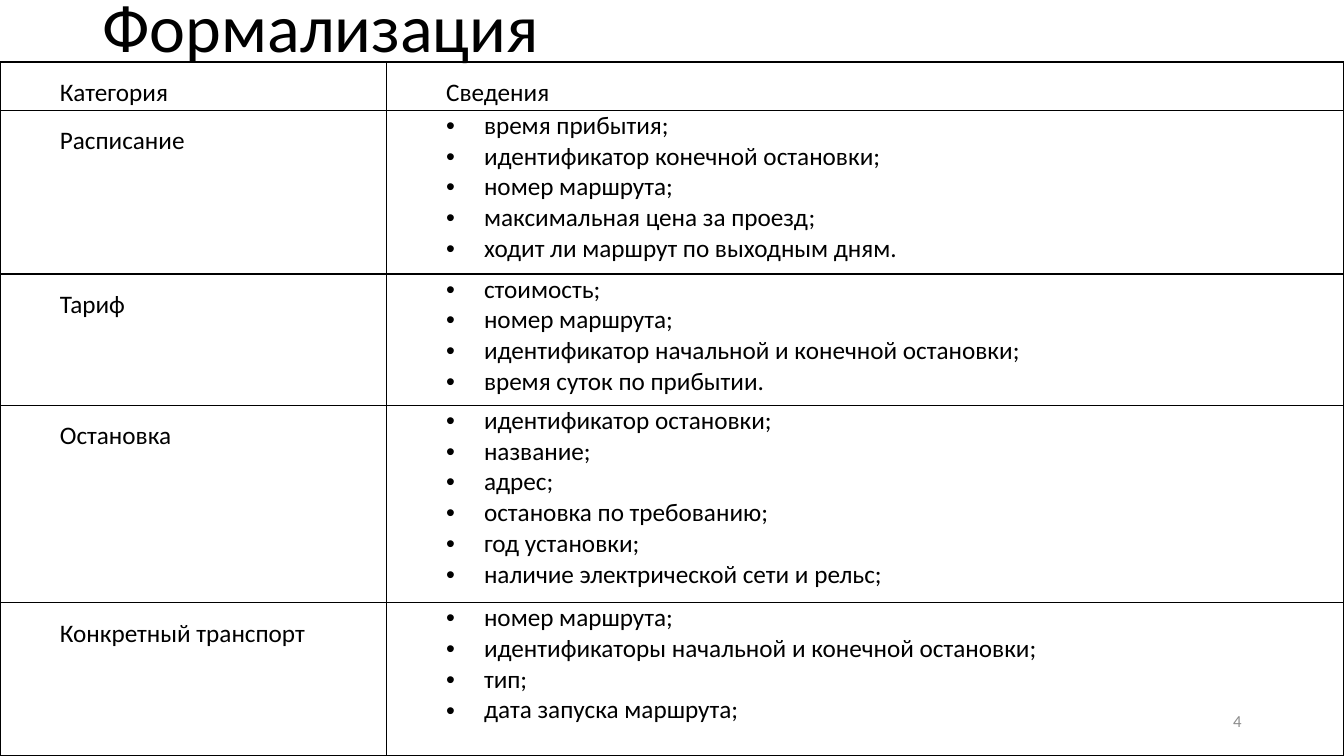
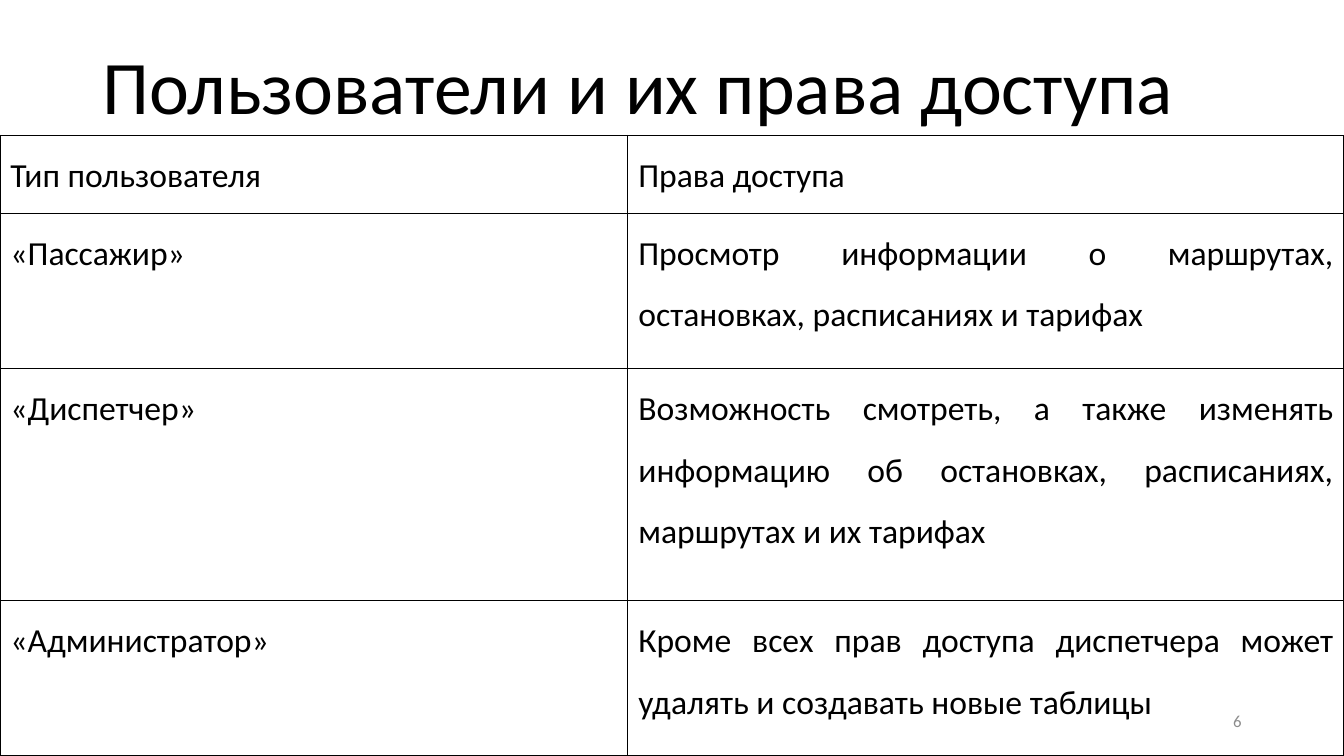
from dataclasses import dataclass

from lxml.etree import SubElement
from pptx import Presentation
from pptx.dml.color import RGBColor as RGB
from pptx.enum.text import MSO_ANCHOR as ANCHOR, MSO_AUTO_SIZE as FIT, PP_ALIGN as ALIGN
from pptx.oxml.ns import qn
from pptx.util import Emu, Pt

SCALE = 9525
WIDTH, HEIGHT = 1280, 720


def px(n):
    return Emu(n * SCALE)


@dataclass(frozen=True)
class Theme:
    """Colours, type sizes and spacing shared by the slides."""
    font: str = "Calibri"
    ink: str = "000000"
    muted: str = "8C8C8C"
    number_size: float = 12
    title_spacing: float = 0.9
    cell_spacing: float = 1.5
    border: float = 1
    hanging: int = 36


class Deck:
    """Holds the theme and the current slide and draws each kind of element."""

    def __init__(self, theme):
        self.theme = theme
        self.prs = Presentation()
        self.prs.slide_width, self.prs.slide_height = px(WIDTH), px(HEIGHT)
        self.s = None

    def style(self, p, size, color, align):
        p.alignment = align
        for r in p.runs:
            r.font.name = self.theme.font
            r.font.size = Pt(size)
            r.font.color.rgb = RGB.from_string(color)

    def slide(self, title, y, h, size):
        self.s = self.prs.slides.add_slide(self.prs.slide_layouts[5])
        sp = self.s.shapes.title
        sp.left, sp.top, sp.width, sp.height = map(px, (88, y, 1104, h))
        tf = sp.text_frame
        tf.text = title
        tf.word_wrap = True
        tf.auto_size = FIT.NONE
        tf.vertical_anchor = ANCHOR.BOTTOM
        p = tf.paragraphs[0]
        p.line_spacing = self.theme.title_spacing
        self.style(p, size, self.theme.ink, ALIGN.LEFT)

    def number(self, n):
        tf = self.s.shapes.add_textbox(*map(px, (904, 667, 288, 38))).text_frame
        tf.text = str(n)
        tf.word_wrap = True
        tf.vertical_anchor = ANCHOR.MIDDLE
        self.style(tf.paragraphs[0], self.theme.number_size, self.theme.muted, ALIGN.RIGHT)

    def borders(self, cell):
        tcPr = cell._tc.get_or_add_tcPr()
        for side in ("lnL", "lnR", "lnT", "lnB"):
            ln = SubElement(tcPr, qn(f"a:{side}"), w=str(Pt(self.theme.border)))
            fill = SubElement(ln, qn("a:solidFill"))
            SubElement(fill, qn("a:srgbClr"), val=self.theme.ink)

    def bullet(self, p, indent):
        pPr = p._p.get_or_add_pPr()
        pPr.set("marL", str(px(indent + self.theme.hanging)))
        pPr.set("indent", str(px(-self.theme.hanging)))
        SubElement(pPr, qn("a:buFont"), typeface="Arial")
        SubElement(pPr, qn("a:buChar"), char="•")

    def cell(self, cell, content, size, inset, indent):
        self.borders(cell)
        cell.fill.background()
        cell.margin_left = cell.margin_right = px(inset)
        cell.margin_top = cell.margin_bottom = 0
        bulleted = isinstance(content, list)
        cell.text_frame.text = "\n".join(content) if bulleted else content
        for p in cell.text_frame.paragraphs:
            self.style(p, size, self.theme.ink, ALIGN.JUSTIFY)
            if bulleted:
                self.bullet(p, indent)
            else:
                p.line_spacing = self.theme.cell_spacing
                p._p.get_or_add_pPr().set("marL", str(px(indent)))

    def table(self, rows, y, widths, heights, size, inset, indent=0):
        frame = self.s.shapes.add_table(
            len(rows), len(widths), 0, px(y), px(sum(widths)), px(sum(heights)))
        table = frame.table
        table.first_row = table.horz_banding = False
        for col, w in zip(table.columns, widths):
            col.width = px(w)
        for row, h, contents in zip(table.rows, heights, rows):
            row.height = px(h)
            for cell, content in zip(row.cells, contents):
                self.cell(cell, content, size, inset, indent)


CATEGORIES = [
    ("Категория", "Сведения"),
    ("Расписание", [
        "время прибытия;",
        "идентификатор конечной остановки;",
        "номер маршрута;",
        "максимальная цена за проезд;",
        "ходит ли маршрут по выходным дням.",
    ]),
    ("Тариф", [
        "cтоимость;",
        "номер маршрута;",
        "идентификатор начальной и конечной остановки;",
        "время суток по прибытии.",
    ]),
    ("Остановка", [
        "идентификатор остановки;",
        "название;",
        "адрес;",
        "остановка по требованию;",
        "год установки;",
        "наличие электрической сети и рельс;",
    ]),
    ("Конкретный транспорт", [
        "номер маршрута;",
        "идентификаторы начальной и конечной остановки;",
        "тип;",
        "дата запуска маршрута;",
    ]),
]

RIGHTS = [
    ("Тип пользователя", "Права доступа"),
    ("«Пассажир»", "Просмотр информации о маршрутах, остановках, расписаниях и тарифах"),
    ("«Диспетчер»", "Возможность смотреть, а также изменять информацию об остановках, "
                    "расписаниях, маршрутах и их тарифах"),
    ("«Администратор»", "Кроме всех прав доступа диспетчера может удалять и создавать "
                        "новые таблицы"),
]


def main():
    deck = Deck(Theme())

    deck.slide("Формализация", y=0, h=69, size=48.6)
    deck.table(CATEGORIES, y=59, widths=(368, 912), heights=(46, 156, 125, 188, 146),
               size=18, inset=9, indent=48)
    deck.number(4)

    deck.slide("Пользователи и их права доступа", y=31, h=98, size=54)
    deck.table(RIGHTS, y=129, widths=(598, 682), heights=(74, 148, 221, 148),
               size=24, inset=10)
    deck.number(6)

    deck.prs.save("out.pptx")


if __name__ == "__main__":
    main()
